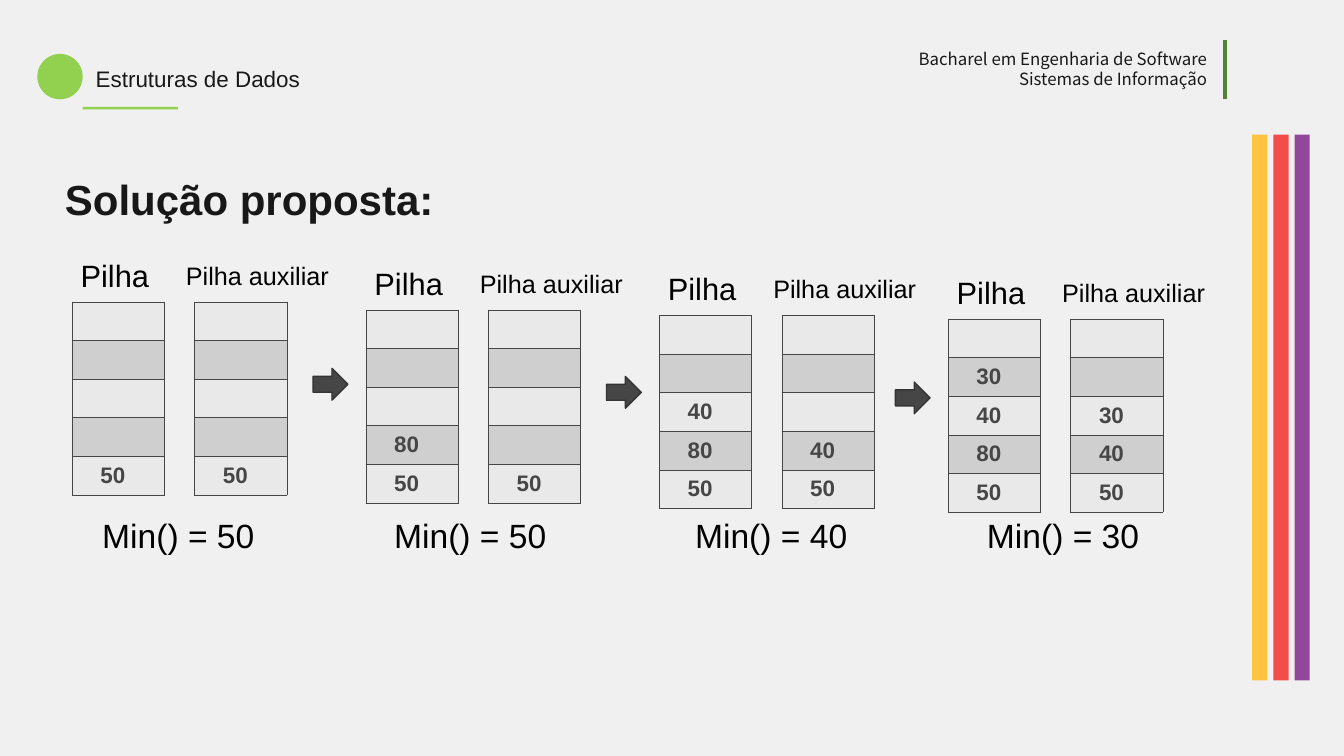
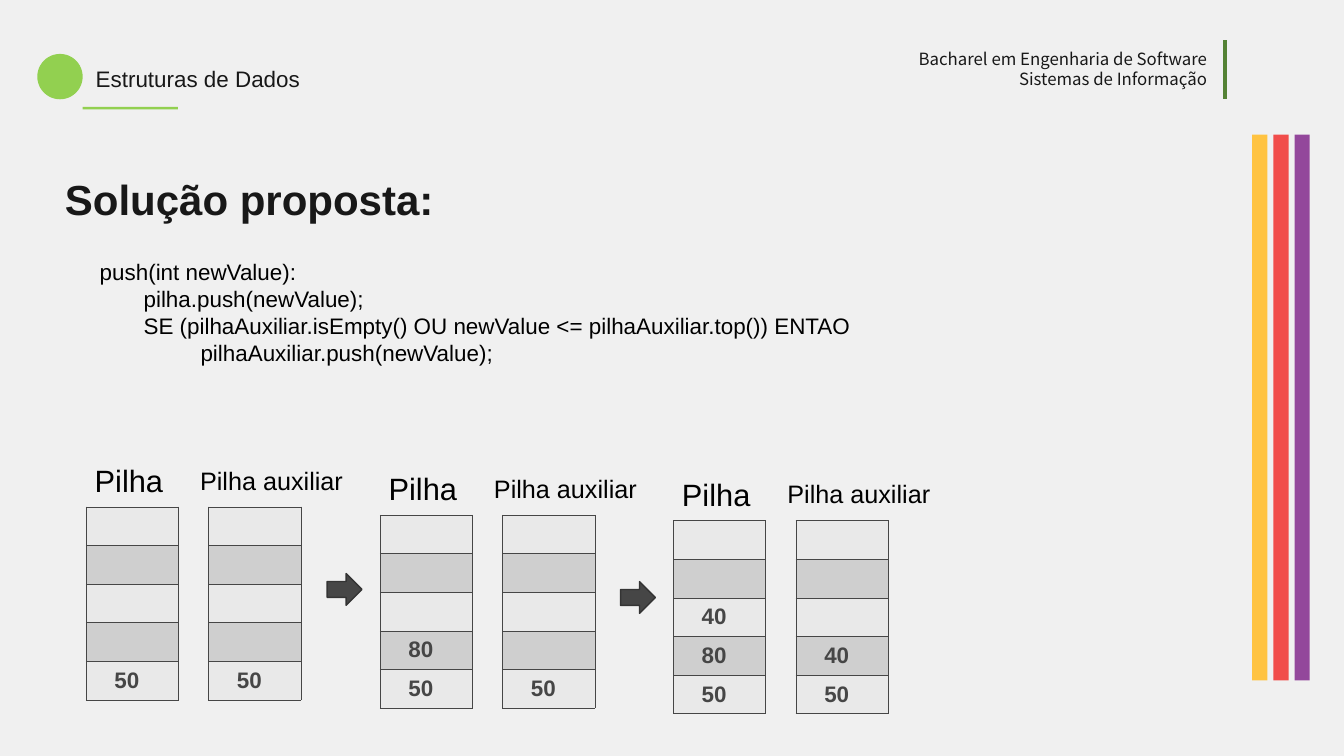
"""Build two slides that trace a stack with a minimum-tracking auxiliary stack."""
import dataclasses

import lxml.etree
import pptx
import pptx.dml.color
import pptx.enum.shapes
import pptx.enum.text
import pptx.oxml.ns
import pptx.util

EMU_PER_PX = 9144
SHAPES = pptx.enum.shapes.MSO_SHAPE
ALIGN = pptx.enum.text.PP_ALIGN
ANCHOR = pptx.enum.text.MSO_ANCHOR

CAPACITY = 5
STEP_ORIGINS = [(143, 599), (726, 615), (1308, 626), (1881, 633)]
STEPS = [
    ([50], [50]),
    ([80, 50], [50]),
    ([40, 80, 50], [40, 50]),
    ([30, 40, 80, 50], [30, 40, 50]),
]
MINIMUM_LEFTS = [193, 772, 1369, 1948]
PUSH_CODE = [
    ("push(int newValue):", 0),
    ("pilha.push(newValue);", 87),
    ("SE (pilhaAuxiliar.isEmpty() OU newValue <= pilhaAuxiliar.top()) ENTAO", 87),
    ("pilhaAuxiliar.push(newValue);", 200),
]


@dataclasses.dataclass(frozen=True)
class Theme:
    background: str = "F0F0F0"
    accent: str = "92D050"
    rule: str = "548235"
    bars: tuple = ("FFC341", "F14D4B", "93479B")
    heading: str = "181818"
    body: str = "000000"
    cell_text: str = "464646"
    cell_fills: tuple = ("E9E9E9", "CFCFCF")
    arrow_line: str = "343434"
    font: str = "Arial"
    header_font: str = "Noto Sans CJK KR"
    title_size: int = 60
    minimum_size: int = 48
    stack_size: int = 44
    auxiliary_size: int = 36
    text_size: int = 32
    header_size: int = 24


def px(length):
    return pptx.util.Emu(round(length * EMU_PER_PX))


def rgb(color):
    return pptx.dml.color.RGBColor.from_string(color)


class Deck:
    def __init__(self, theme):
        self.theme = theme
        self.presentation = pptx.Presentation()
        self.presentation.slide_width = px(2666)
        self.presentation.slide_height = px(1500)
        self.slide = None

    def new_slide(self):
        self.slide = self.presentation.slides.add_slide(self.presentation.slide_layouts[6])
        self.slide.background.fill.solid()
        self.slide.background.fill.fore_color.rgb = rgb(self.theme.background)

    def shape(self, kind, left, top, width, height, fill, line=None):
        shape = self.slide.shapes.add_shape(kind, px(left), px(top), px(width), px(height))
        shape.shadow.inherit = False
        shape.fill.solid()
        shape.fill.fore_color.rgb = rgb(fill)
        if line:
            shape.line.color.rgb = rgb(line)
            shape.line.width = pptx.util.Pt(2)
        else:
            shape.line.fill.background()

    def vertical_rule(self, left, top, bottom):
        connector = self.slide.shapes.add_connector(
            pptx.enum.shapes.MSO_CONNECTOR.STRAIGHT, px(left), px(top), px(left), px(bottom))
        connector.line.color.rgb = rgb(self.theme.rule)
        connector.line.width = pptx.util.Pt(5)
        properties = connector._element.spPr
        lxml.etree.SubElement(properties, pptx.oxml.ns.qn("a:effectLst"))

    def format_text(self, paragraph, size, color, font=None, bold=False):
        for run in paragraph.runs:
            run.font.size = pptx.util.Pt(size)
            run.font.name = font or self.theme.font
            run.font.color.rgb = rgb(color)
            run.font.bold = bold

    def text(self, text, left, top, width, height, size, color, font=None, bold=False):
        box = self.slide.shapes.add_textbox(px(left), px(top), px(width), px(height))
        box.text_frame.word_wrap = True
        box.text_frame.text = text
        for paragraph in box.text_frame.paragraphs:
            self.format_text(paragraph, size, color, font, bold)
        return box.text_frame.paragraphs

    def cell_borders(self, cell):
        properties = cell._tc.get_or_add_tcPr()
        for position, side in enumerate(("lnL", "lnR", "lnT", "lnB")):
            border = lxml.etree.Element(pptx.oxml.ns.qn(f"a:{side}"), w=str(pptx.util.Pt(1)))
            fill = lxml.etree.SubElement(border, pptx.oxml.ns.qn("a:solidFill"))
            lxml.etree.SubElement(fill, pptx.oxml.ns.qn("a:srgbClr"), val=self.theme.cell_text)
            properties.insert(position, border)

    def stack(self, values, left, top):
        frame = self.slide.shapes.add_table(CAPACITY, 1, px(left), px(top), px(183), px(383))
        table = frame.table
        table.first_row = False
        table.horz_banding = False
        padded = [""] * (CAPACITY - len(values)) + values
        for row, value in enumerate(padded):
            cell = table.cell(row, 0)
            cell.fill.solid()
            cell.fill.fore_color.rgb = rgb(self.theme.cell_fills[row % 2])
            cell.margin_left = px(56)
            cell.vertical_anchor = ANCHOR.MIDDLE
            cell.text_frame.text = str(value)
            self.format_text(cell.text_frame.paragraphs[0], self.theme.text_size,
                             self.theme.cell_text, bold=True)
            self.cell_borders(cell)

    def step(self, main_values, auxiliary_values, left, top):
        theme = self.theme
        self.stack(main_values, left, top)
        self.text("Pilha", left + 7, top - 95, 250, 84, theme.stack_size, theme.body)
        self.text("Pilha auxiliar", left + 216, top - 88, 441, 71,
                  theme.auxiliary_size, theme.body)
        self.stack(auxiliary_values, left + 243, top)

    def trace(self, count, shift_left=0, shift_top=0):
        origins = [(left + shift_left, top + shift_top) for left, top in STEP_ORIGINS[:count]]
        for (main_values, auxiliary_values), (left, top) in zip(STEPS, origins):
            self.step(main_values, auxiliary_values, left, top)
        for (_, top), (next_left, _) in zip(origins, origins[1:]):
            self.shape(SHAPES.RIGHT_ARROW, next_left - 105, top + 132, 69, 63,
                       self.theme.cell_text, self.theme.arrow_line)

    def minimums(self):
        for left, (_, auxiliary_values) in zip(MINIMUM_LEFTS, STEPS):
            self.text(f"Min() = {auxiliary_values[0]}", left, 1017, 360, 91,
                      self.theme.minimum_size, self.theme.body)

    def code(self, lines, left, top, width, height):
        paragraphs = self.text("\n".join(line for line, _ in lines), left, top, width, height,
                               self.theme.text_size, self.theme.body)
        for paragraph, (_, indent) in zip(paragraphs, lines):
            paragraph._p.get_or_add_pPr().set("marL", str(px(indent)))

    def frame(self, title):
        theme = self.theme
        self.new_slide()
        self.shape(SHAPES.RECTANGLE, 164, 212, 189, 5, theme.accent)
        self.shape(SHAPES.OVAL, 74, 107, 90, 90, theme.accent)
        heading = self.text(title, 119, 309, 2214, 390, theme.title_size, theme.heading, bold=True)
        heading[0].line_spacing = 1.3
        for index, color in enumerate(theme.bars):
            self.shape(SHAPES.RECTANGLE, 2484 + 42 * index, 267, 30, 1083, color)
        self.text("Estruturas de Dados", 180, 125, 1605, 64, theme.text_size, theme.heading)
        courses = self.text("Bacharel em Engenharia de Software\nSistemas de Informação",
                            1785, 92, 619, 91, theme.header_size, theme.heading,
                            theme.header_font)
        for paragraph in courses:
            paragraph.alignment = ALIGN.RIGHT
        self.vertical_rule(2430, 80, 197)


def main():
    deck = Deck(Theme())

    deck.frame("Solução proposta:")
    deck.trace(4)
    deck.minimums()

    deck.frame("Solução proposta:")
    deck.trace(3, shift_left=28, shift_top=407)
    deck.code(PUSH_CODE, 188, 508, 1706, 279)

    deck.presentation.save("out.pptx")


if __name__ == "__main__":
    main()
